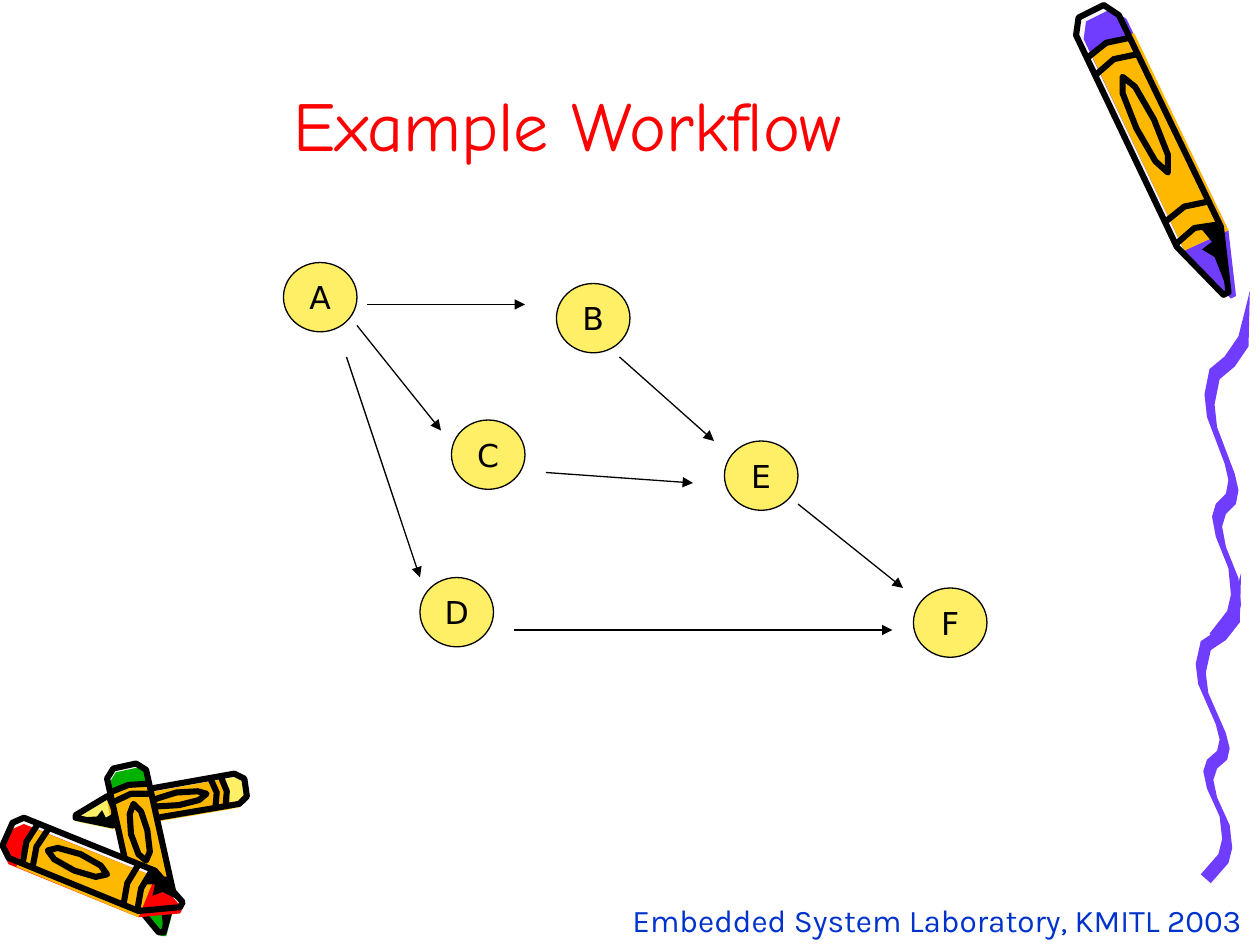
from dataclasses import dataclass
from math import cos, hypot, pi, sin

from lxml import etree
from pptx import Presentation
from pptx.dml.color import RGBColor
from pptx.enum.shapes import MSO_CONNECTOR, MSO_SHAPE
from pptx.enum.text import MSO_ANCHOR, PP_ALIGN
from pptx.oxml.ns import qn
from pptx.util import Inches, Pt

STRAIGHT = MSO_CONNECTOR.STRAIGHT
NODE = MSO_SHAPE.FLOWCHART_CONNECTOR
MIDDLE, BOTTOM, TOP = MSO_ANCHOR.MIDDLE, MSO_ANCHOR.BOTTOM, MSO_ANCHOR.TOP
CENTER, LEFT = PP_ALIGN.CENTER, PP_ALIGN.LEFT
CELL = Inches(1) // 12
CENT = Inches(1) / 100


@dataclass(frozen=True)
class Theme:
    """Colours, fonts and sizes of the slide."""
    ink: str = "000000"
    title: str = "FF0000"
    foot: str = "0033CC"
    node: str = "FFEF66"
    violet: str = "703DFF"
    amber: str = "FFB800"
    red: str = "FF0000"
    green: str = "00B200"
    pale: str = "F8F8F8"
    head: tuple = ("Comic Neue", 40)
    label: tuple = ("DejaVu Sans", 18)
    note: tuple = ("Karla", 18)
    thin: float = 0.75
    thick: float = 3.5


@dataclass(frozen=True)
class Crayon:
    """A crayon from tail to tip, in hundredths of an inch."""
    tail: tuple
    tip: tuple
    half: float
    wax: str
    shift: tuple

    def place(self, points, shift=(0, 0)):
        """Map (share of length, share of half width) to the slide."""
        x, y = self.tail
        run, rise = self.tip[0] - x, self.tip[1] - y
        unit = self.half / hypot(run, rise)
        return [(x + run * along - rise * unit * side + shift[0],
                 y + rise * along + run * unit * side + shift[1])
                for along, side in points]


T = Theme()

NODES = {"A": (27, 25), "B": (53, 27), "D": (40, 55),
         "C": (43, 40), "E": (69, 42), "F": (87, 56)}

ARROWS = [(35, 29, 50, 29), (34, 31, 42, 41), (33, 34, 40, 55), (59, 34, 68, 42),
          (52, 45, 66, 46), (49, 60, 85, 60), (76, 48, 86, 56)]

CRAYONS = [Crayon((195, 625), (60, 648), 12, T.node, (0, 3)),
           Crayon((99, 608), (128, 740), 16, T.green, (2, 3)),
           Crayon((6, 662), (144, 718), 17, T.red, (0, 5)),
           Crayon((866, 9), (973, 233), 19, T.violet, (6, 3))]

BODY = [(0, -0.6), (0, 0.6), (0.05, 1), (0.8, 1),
        (1, 0.1), (1, -0.1), (0.8, -1), (0.05, -1)]
LABEL = [(0.1, -1), (0.1, 1), (0.8, 1), (0.8, -1)]
OVAL = [(0.4 + 0.17 * cos(n * pi / 4), 0.4 * sin(n * pi / 4)) for n in range(8)]
SHADE = [(0.78, -1), (0.77, -0.2), (0.83, -0.4), (0.84, 0.1), (0.88, -0.2), (1, -0.1)]
RINGS = (0.13, 0.19, 0.71, 0.79)

RIBBON = [(36, 0), (27, 32), (16, 46), (4, 54), (0, 72), (2, 88), (16, 120), (19, 132),
          (17, 141), (9, 148), (6, 157), (9, 171), (19, 193), (21, 211), (18, 223), (4, 239)]
TRAILS = [(949, 455, 1), (956, 231, 1.14)]


def rgb(code):
    """Turn a hex code into a colour."""
    return RGBColor.from_string(code)


def write(frame, text, face, tint, align, anchor, wrap):
    """Fill a text frame with one styled paragraph."""
    frame.word_wrap = wrap
    frame.vertical_anchor = anchor
    para = frame.paragraphs[0]
    para.text = text
    para.alignment = align
    para.font.name, para.font.size = face[0], Pt(face[1])
    para.font.color.rgb = rgb(tint)


def add_text(slide, box, text, face, tint, align, anchor):
    """Add a text box placed in inches."""
    frame = slide.shapes.add_textbox(*map(Inches, box)).text_frame
    write(frame, text, face, tint, align, anchor, True)


def add_path(slide, dots, fill=None, closed=True):
    """Draw a filled outline, or an ink stroke when there is no fill."""
    pen = slide.shapes.build_freeform(*dots[0], scale=CENT)
    pen.add_line_segments(dots[1:], close=closed)
    shape = pen.convert_to_shape()
    shape.shadow.inherit = False
    if fill:
        shape.fill.solid()
        shape.fill.fore_color.rgb = rgb(fill)
        shape.line.fill.background()
    else:
        shape.fill.background()
        shape.line.color.rgb = rgb(T.ink)
        shape.line.width = Pt(T.thick)


def add_crayon(slide, crayon):
    """Draw wax and label slightly off the ink strokes on top."""
    place, shift = crayon.place, crayon.shift
    add_path(slide, place(BODY), T.pale)
    add_path(slide, place(BODY, shift), crayon.wax)
    add_path(slide, place(LABEL, shift), T.amber)
    add_path(slide, place(SHADE), T.ink)
    add_path(slide, place(BODY))
    add_path(slide, place(OVAL))
    for at in RINGS:
        add_path(slide, place([(at, -1), (at - 0.02, 0), (at, 1)]), closed=False)


def add_trail(slide, left, top, scale):
    """Draw a ribbon whose right edge is its left edge moved over."""
    near = [(left + x, top + y * scale) for x, y in RIBBON]
    far = [(x + 8, y + 7 * scale) for x, y in near[1:]]
    add_path(slide, near + far[::-1], T.violet)


def add_node(slide, name, col, row):
    """Add a round workflow step at a grid cell."""
    shape = slide.shapes.add_shape(NODE, col * CELL, row * CELL, 7 * CELL, Inches(0.55))
    shape.shadow.inherit = False
    shape.fill.solid()
    shape.fill.fore_color.rgb = rgb(T.node)
    shape.line.color.rgb = rgb(T.ink)
    shape.line.width = Pt(T.thin)
    write(shape.text_frame, name, T.label, T.ink, CENTER, MIDDLE, False)


def add_arrow(slide, ends):
    """Add a straight arrow between two grid points."""
    line = slide.shapes.add_connector(STRAIGHT, *[n * CELL for n in ends])
    line.line.color.rgb = rgb(T.ink)
    line.line.width = Pt(T.thin)
    etree.SubElement(line.line._get_or_add_ln(), qn("a:tailEnd"), type="triangle")
    etree.SubElement(line._element.spPr, qn("a:effectLst"))


def main():
    """Build the workflow slide and save it."""
    deck = Presentation()
    deck.slide_width, deck.slide_height = Inches(10), Inches(7.5)
    slide = deck.slides.add_slide(deck.slide_layouts[6])
    for trail in TRAILS:
        add_trail(slide, *trail)
    for crayon in CRAYONS:
        add_crayon(slide, crayon)
    add_text(slide, (0.75, 0.28, 7.51, 1.08), "Example Workflow",
             T.head, T.title, CENTER, BOTTOM)
    add_text(slide, (4.92, 7.1, 5.08, 0.4), "Embedded System Laboratory, KMITL 2003",
             T.note, T.foot, LEFT, TOP)
    for name, spot in NODES.items():
        add_node(slide, name, *spot)
    for ends in ARROWS:
        add_arrow(slide, ends)
    deck.save("out.pptx")


if __name__ == "__main__":
    main()
